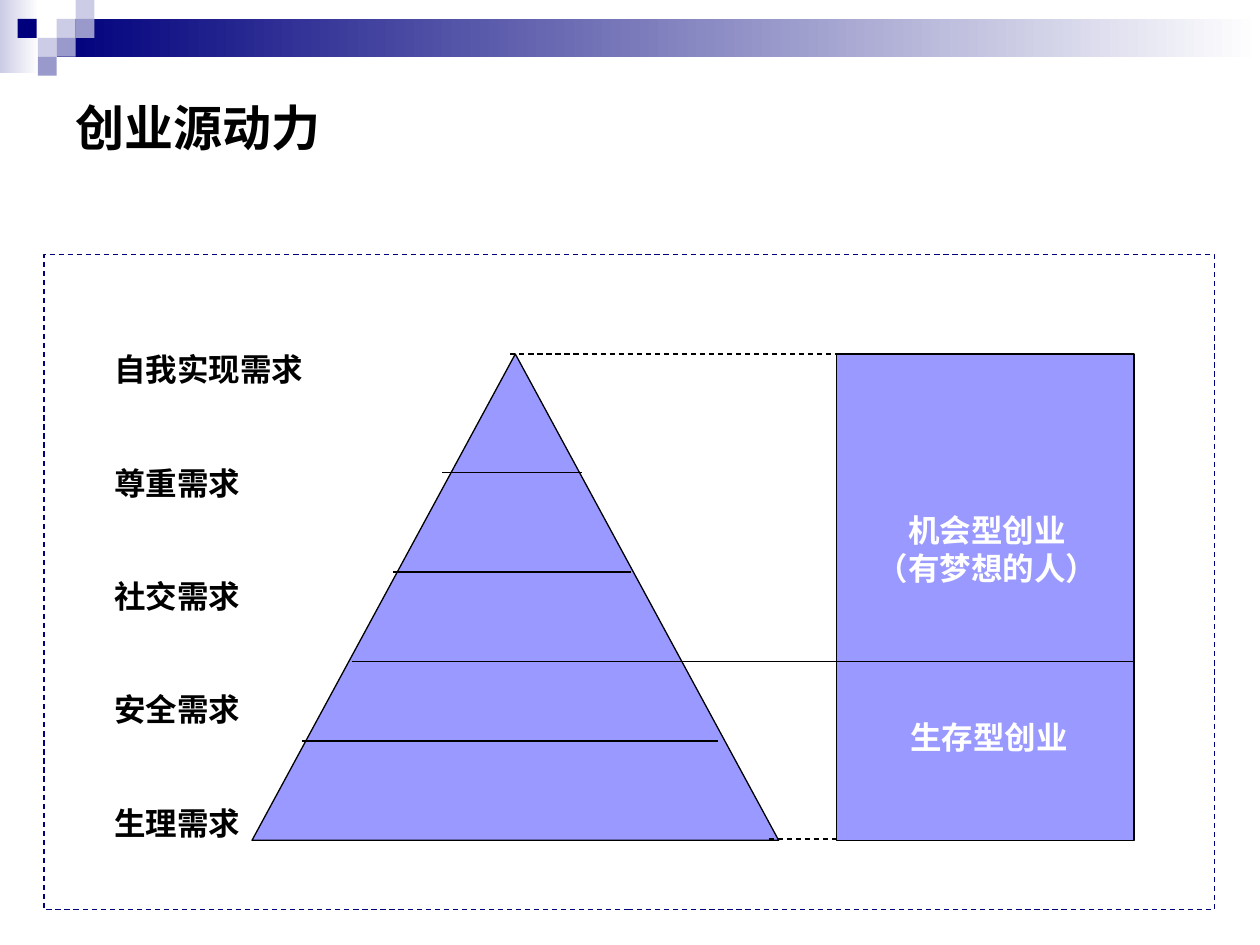
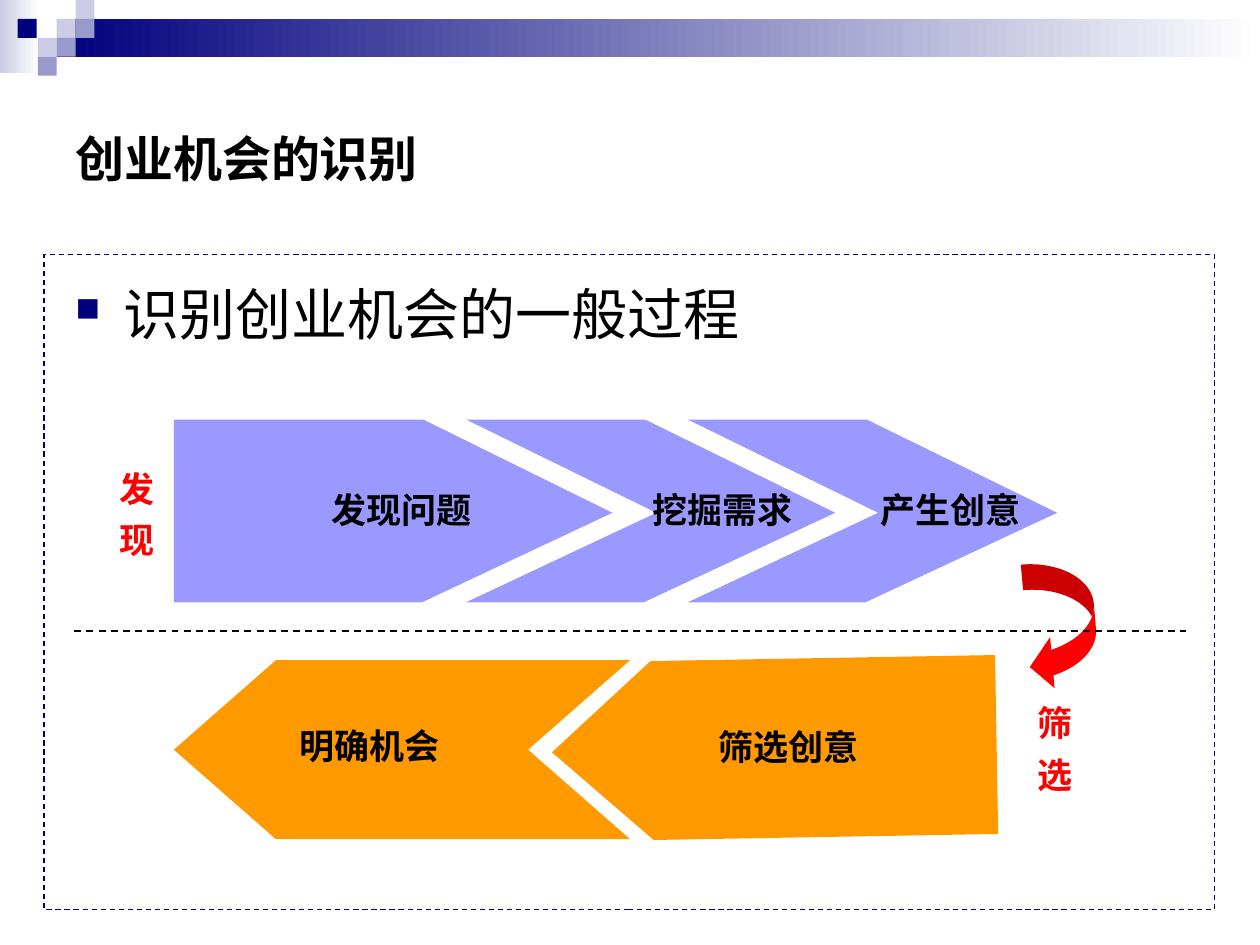
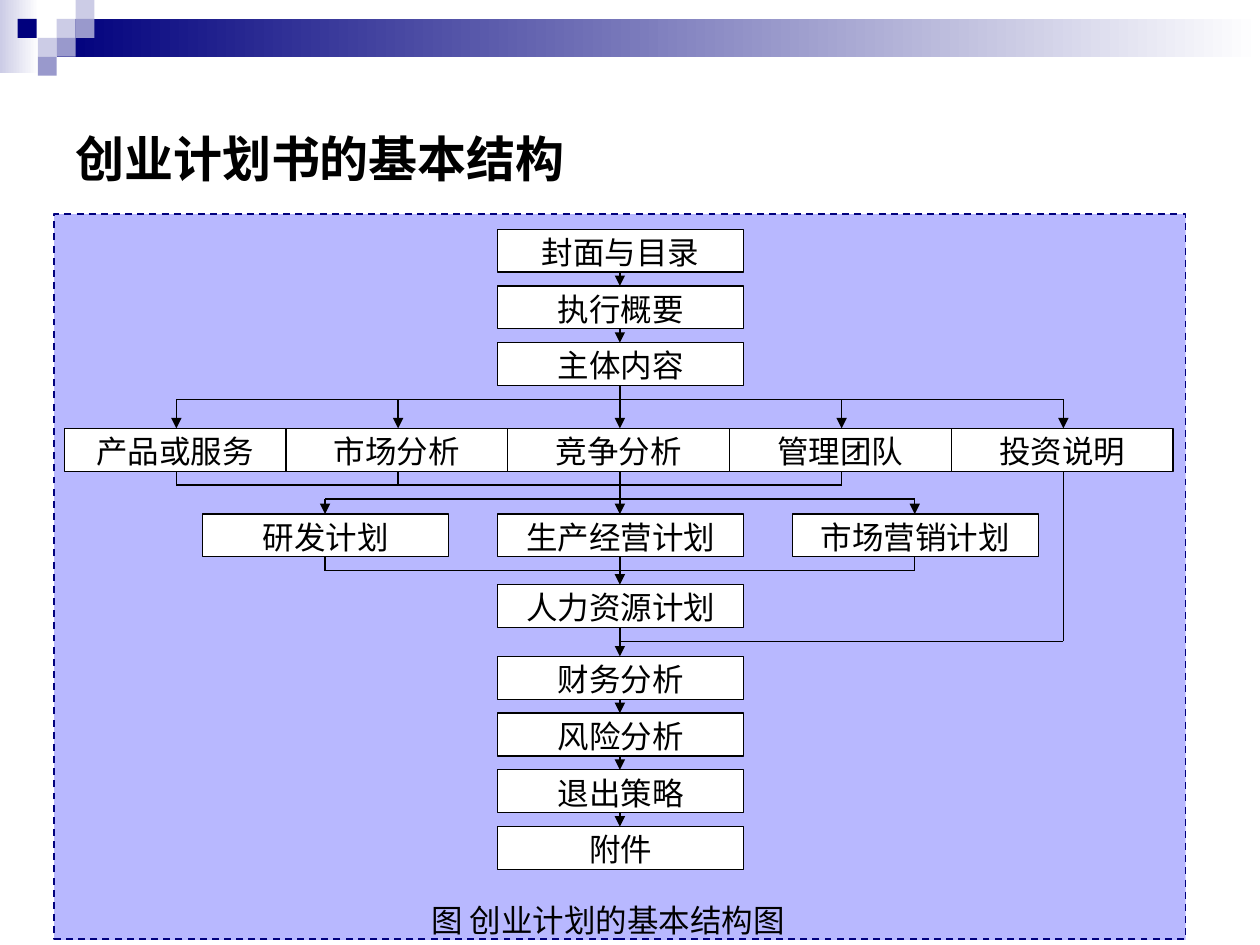
import lxml.etree
import pptx
import pptx.dml.color
import pptx.enum.dml
import pptx.enum.shapes
import pptx.enum.text
import pptx.oxml.ns
import pptx.util

Inches = pptx.util.Inches
Pt = pptx.util.Pt
RGBColor = pptx.dml.color.RGBColor
SHAPE = pptx.enum.shapes.MSO_SHAPE
ALIGN = pptx.enum.text.PP_ALIGN
ANCHOR = pptx.enum.text.MSO_ANCHOR
qn = pptx.oxml.ns.qn

BLACK = RGBColor(0x00, 0x00, 0x00)
WHITE = RGBColor(0xFF, 0xFF, 0xFF)
NAVY = RGBColor(0x00, 0x00, 0x7D)
LAVENDER = RGBColor(0xCC, 0xCC, 0xE6)
MAUVE = RGBColor(0x99, 0x99, 0xCC)
PERIWINKLE = RGBColor(0x99, 0x99, 0xFF)
ORANGE = RGBColor(0xFF, 0x99, 0x00)
RED = RGBColor(0xFF, 0x00, 0x00)

LATIN_FONT = "Arial"
CJK_FONT = "Noto Sans CJK SC"


def add_xml(parent, tag, **attributes):
    return lxml.etree.SubElement(parent, qn(tag), **attributes)


def write(shape, text, size=18, color=BLACK, bold=False, align=ALIGN.LEFT,
          anchor=ANCHOR.TOP, inset=0.05, gap=0, bullet=None, font=LATIN_FONT):
    frame = shape.text_frame
    frame.word_wrap = True
    frame.vertical_anchor = anchor
    frame.margin_top = Inches(inset)
    for index, line in enumerate(text.split("\n")):
        paragraph = frame.paragraphs[0] if index == 0 else frame.add_paragraph()
        paragraph.alignment = align
        paragraph.line_spacing = Pt(size * 1.2)
        if index:
            paragraph.space_before = Pt(gap)
        if bullet:
            properties = paragraph._p.get_or_add_pPr()
            properties.set("marL", str(Inches(0.38)))
            properties.set("indent", str(-Inches(0.38)))
            add_xml(add_xml(properties, "a:buClr"), "a:srgbClr", val=str(NAVY))
            add_xml(properties, "a:buSzPct", val="60000")
            add_xml(properties, "a:buChar", char=bullet)
        run = paragraph.add_run()
        run.text = line
        run.font.size = Pt(size)
        run.font.bold = bold
        run.font.color.rgb = color
        run.font.name = font
        add_xml(run._r.get_or_add_rPr(), "a:ea", typeface=CJK_FONT)


class Deck:
    def __init__(self):
        self.presentation = pptx.Presentation()
        self.presentation.slide_width = Inches(10)
        self.presentation.slide_height = Inches(7.5)
        self.slide = None

    def start(self, title, title_top=0.5):
        self.slide = self.presentation.slides.add_slide(self.presentation.slide_layouts[6])
        self.band(0, 0, 0.31, 0.58, LAVENDER)
        self.band(0.45, 0.15, 9.55, 0.3, NAVY)
        for left, top, color in (
            (0.45, 0.15, LAVENDER), (0.6, 0, LAVENDER), (0.6, 0.15, MAUVE),
            (0.3, 0.3, LAVENDER), (0.14, 0.15, NAVY), (0.45, 0.3, MAUVE),
            (0.3, 0.45, MAUVE),
        ):
            self.shape(SHAPE.RECTANGLE, left, top, 0.15, 0.15, fill=color)
        self.text(title, 0.5, title_top, 9, 1.5, size=28, bold=True,
                  anchor=ANCHOR.MIDDLE, font=CJK_FONT)

    def paint(self, shape, fill=None, line=None, weight=0.75, dashed=False):
        shape.shadow.inherit = False
        if fill is None:
            shape.fill.background()
        else:
            shape.fill.solid()
            shape.fill.fore_color.rgb = fill
        if line is None:
            shape.line.fill.background()
        else:
            self.stroke(shape.line, line, weight, dashed)

    def stroke(self, line, color, weight, dashed):
        line.color.rgb = color
        line.width = Pt(weight)
        if dashed:
            line.dash_style = pptx.enum.dml.MSO_LINE.DASH

    def shape(self, kind, left, top, width, height, rotation=0, adjustments=(), **style):
        shape = self.slide.shapes.add_shape(
            kind, Inches(left), Inches(top), Inches(width), Inches(height))
        shape.rotation = rotation
        for index, value in enumerate(adjustments):
            shape.adjustments[index] = value
        self.paint(shape, **style)
        return shape

    def band(self, left, top, width, height, color):
        band = self.shape(SHAPE.RECTANGLE, left, top, width, height)
        band.fill.gradient()
        band.fill.gradient_angle = 0
        for stop, shade, position in zip(band.fill.gradient_stops, (color, WHITE), (0, 1)):
            stop.color.rgb = shade
            stop.position = position

    def frame(self, left=0.35, top=2.02, width=9.29, height=5.2, weight=0.75):
        self.shape(SHAPE.RECTANGLE, left, top, width, height,
                   line=NAVY, weight=weight, dashed=True)

    def text(self, text, left, top, width, height, **style):
        box = self.slide.shapes.add_textbox(
            Inches(left), Inches(top), Inches(width), Inches(height))
        write(box, text, **style)

    def box(self, text, left, top, width):
        box = self.shape(SHAPE.RECTANGLE, left, top, width, 0.34, fill=WHITE, line=BLACK)
        write(box, text, align=ALIGN.CENTER, inset=0.03)

    def line(self, x1, y1, x2, y2, weight=0.75, dashed=False, arrow=False):
        line = self.slide.shapes.add_connector(
            pptx.enum.shapes.MSO_CONNECTOR.STRAIGHT,
            Inches(x1), Inches(y1), Inches(x2), Inches(y2))
        self.stroke(line.line, BLACK, weight, dashed)
        if arrow:
            add_xml(line.line._get_or_add_ln(), "a:tailEnd", type="triangle")
        add_xml(line._element.spPr, "a:effectLst")

    def outline(self, contours, **style):
        contours = [[(Inches(x), Inches(y)) for x, y in contour] for contour in contours]
        builder = self.slide.shapes.build_freeform(*contours[0][0])
        for index, contour in enumerate(contours):
            if index:
                builder.move_to(*contour[0])
            builder.add_line_segments(contour[1:], close=True)
        self.paint(builder.convert_to_shape(), **style)


def motivation_slide(deck):
    deck.start("创业源动力", title_top=0.26)
    deck.shape(SHAPE.ISOSCELES_TRIANGLE, 2, 2.81, 4.18, 3.86, fill=PERIWINKLE, line=BLACK)
    deck.shape(SHAPE.RECTANGLE, 6.64, 2.81, 2.36, 3.86, fill=PERIWINKLE, line=BLACK)
    for left, right, level in ((2.79, 9.01, 5.25), (2.4, 5.7, 5.88),
                               (3.12, 5.01, 4.54), (3.51, 4.62, 3.75)):
        deck.line(left, level, right, level)
    white_label = dict(color=WHITE, bold=True, align=ALIGN.CENTER)
    deck.text("机会型创业\n（有梦想的人）", 6.81, 4.01, 2.05, 0.71, **white_label)
    deck.text("生存型创业", 6.84, 5.65, 2.02, 0.4, **white_label)
    needs = ("自我实现需求", "尊重需求", "社交需求", "安全需求", "生理需求")
    deck.text("\n".join(needs), 0.81, 2.73, 1.83, 4, bold=True, gap=43.2)
    deck.line(4.05, 2.81, 6.65, 2.81, dashed=True)
    deck.line(6.1, 6.66, 6.65, 6.66, dashed=True)
    deck.frame()


def opportunity_slide(deck):
    deck.start("创业机会的识别")
    deck.text("识别创业机会的一般过程", 0.5, 2.17, 9, 4.25, size=32, bullet="■")
    deck.frame()
    deck.shape(SHAPE.CHEVRON, 1.38, 5.24, 3.62, 1.42, 180, (0.57,), fill=ORANGE)
    deck.shape(SHAPE.PENTAGON, 4.38, 5.23, 3.53, 1.42, 179, (0.56,), fill=ORANGE)
    top, middle, bottom = 3.33, 4.07, 4.78
    discovery_steps = [[(1.38, top), (3.36, top), (4.86, middle),
                        (3.35, bottom), (1.38, bottom)]]
    for left in (3.7, 5.46):
        discovery_steps.append([
            (left, top), (left + 1.42, top), (left + 2.93, middle),
            (left + 1.41, bottom), (left, bottom), (left + 1.51, middle)])
    deck.outline(discovery_steps, fill=PERIWINKLE)
    for step, left, label_top in (
        ("发现问题", 2.53, 3.83), ("挖掘需求", 5.08, 3.83), ("产生创意", 6.89, 3.83),
        ("筛选创意", 5.6, 5.71), ("明确机会", 2.28, 5.7),
    ):
        deck.text(step, left, label_top, 1.65, 0.43, size=20, bold=True)
    deck.shape(SHAPE.CURVED_DOWN_ARROW, 7.91, 4.69, 1.02, 0.55, 85,
               (0.37, 0.74, 0.33), fill=RED)
    deck.line(0.59, 5.01, 9.41, 5.01, weight=1, dashed=True)
    for phase, left, phase_top in (("发\n现", 0.77, 3.66), ("筛\n选", 8.05, 5.52)):
        deck.text(phase, left, phase_top, 0.64, 0.9, size=20, color=RED,
                  bold=True, align=ALIGN.CENTER, gap=5.5)


def plan_slide(deck):
    deck.start("创业计划书的基本结构")
    backdrop = deck.shape(SHAPE.RECTANGLE, 0.43, 1.7, 8.98, 5.76, fill=PERIWINKLE)
    for color in backdrop._element.spPr.iter(qn("a:srgbClr")):
        add_xml(color, "a:alpha", val="69000")

    axis, height, pitch, width = 4.92, 0.34, 0.45, 1.95
    sections = [axis + 1.76 * step for step in range(-2, 3)]
    plans = [axis + 2.34 * step for step in range(-1, 2)]

    def stack(names, top):
        for index, name in enumerate(names):
            box_top = top + pitch * index
            deck.box(name, axis - 0.97, box_top, width)
            if index:
                deck.line(axis, box_top - pitch + height, axis, box_top, arrow=True)

    def rail(centers, level, row, arrow=False):
        deck.line(centers[0], level, centers[-1], level)
        for center in centers:
            if center != axis:
                start, end = (level, row) if arrow else (row, level)
                deck.line(center, start, center, end, arrow=arrow)

    stack(("封面与目录", "执行概要", "主体内容"), 1.82)
    for name, center in zip(("产品或服务", "市场分析", "竞争分析", "管理团队", "投资说明"), sections):
        deck.box(name, center - 0.89, 3.4, 1.76)
    for name, center in zip(("研发计划", "生产经营计划", "市场营销计划"), plans):
        deck.box(name, center - 0.97, 4.08, width)
    deck.box("人力资源计划", axis - 0.97, 4.64, width)
    stack(("财务分析", "风险分析", "退出策略", "附件"), 5.21)

    rail(sections, 3.17, 3.4, arrow=True)
    rail(sections[:4], 3.85, 3.74)
    rail(plans, 3.96, 4.08, arrow=True)
    rail(plans, 4.53, 4.42)
    for start, end in ((3.06, 3.4), (3.74, 4.08), (4.42, 4.64), (4.98, 5.21)):
        deck.line(axis, start, axis, end, arrow=True)
    deck.line(axis, 5.09, sections[-1], 5.09)
    deck.line(sections[-1], 5.09, sections[-1], 3.74)

    deck.text("图 创业计划的基本结构图", 0.63, 7.1, 8.39, 0.34, align=ALIGN.CENTER)
    deck.frame(0.43, 1.7, 8.98, 5.75, weight=1)


def main():
    deck = Deck()
    motivation_slide(deck)
    opportunity_slide(deck)
    plan_slide(deck)
    deck.presentation.save("out.pptx")


if __name__ == "__main__":
    main()
